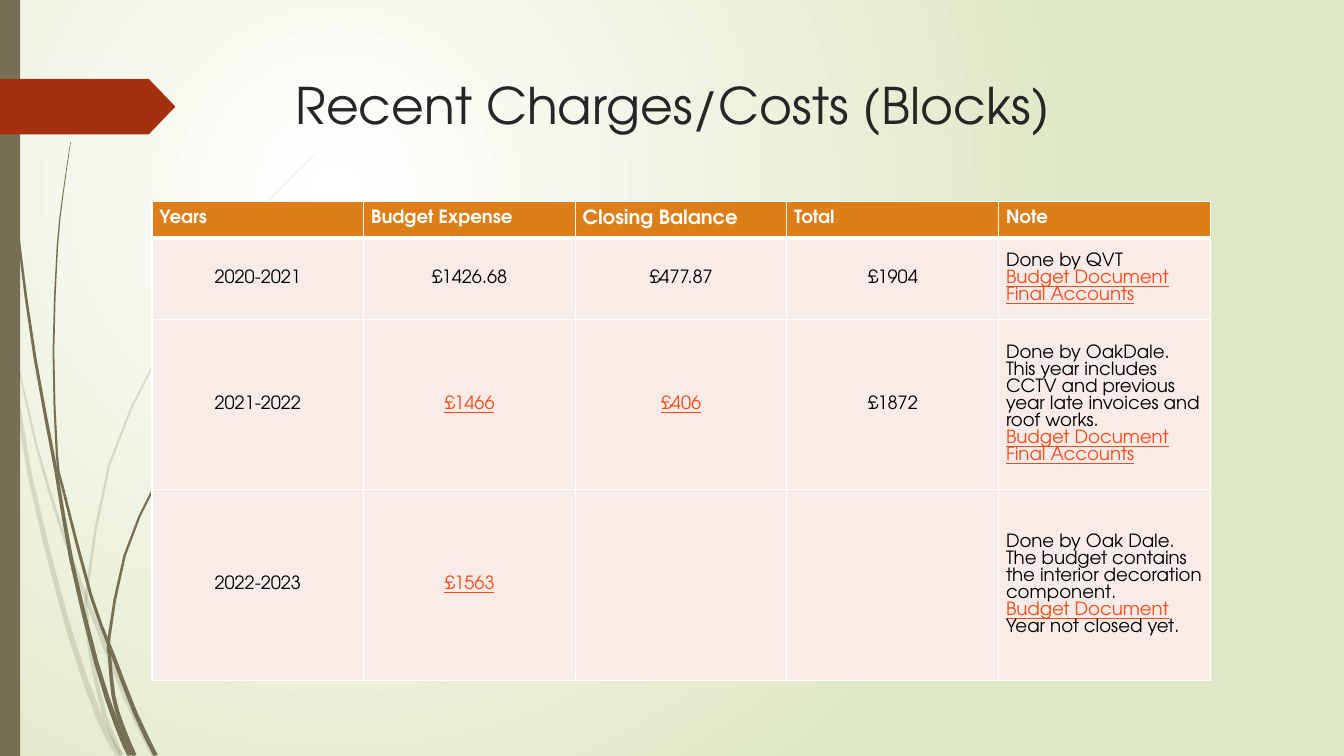
from dataclasses import dataclass
from math import hypot

from lxml.etree import SubElement
from pptx import Presentation
from pptx.dml.color import RGBColor
from pptx.enum.shapes import MSO_SHAPE as Preset
from pptx.enum.text import MSO_ANCHOR as Anchor, MSO_AUTO_SIZE as AutoSize, PP_ALIGN as Align
from pptx.oxml.ns import qn
from pptx.util import Pt

FONT = "TeX Gyre Adventor"
WHITE, BLACK, DARK = "FFFFFF", "000000", "262626"
OLIVE, RED, GREEN = "766F54", "A53010", "DFE8C4"
ORANGE, PINK, LINK = "DE7E18", "F9ECE8", "FB4A18"
WIDTH, HEIGHT = 960, 540
CURVE_STEPS = 2

Point = tuple[float, float]


@dataclass
class Blade:
    """A blade of grass: centre line from tip to root, cut into pieces at the joints."""
    points: list[Point]
    joints: list[int]
    tip_width: float
    root_width: float
    opacity: int = 100


@dataclass
class Line:
    """One paragraph of a table cell."""
    text: str
    link: bool = False


def rgb(colour: str) -> RGBColor:
    return RGBColor.from_string(colour)


def paint(shape, colour: str, opacity: int = 100) -> None:
    shape.shadow.inherit = False
    shape.fill.solid()
    shape.fill.fore_color.rgb = rgb(colour)
    shape.line.fill.background()
    if opacity < 100:
        colour_element = shape._element.spPr.find(qn("a:solidFill"))[0]
        SubElement(colour_element, qn("a:alpha"), val=str(opacity * 1000))


def smooth_curve(points: list[Point]) -> list[Point]:
    """Catmull-Rom curve through all points."""
    padded = [points[0], *points, points[-1]]
    curve = []
    for before, start, end, after in zip(padded, padded[1:], padded[2:], padded[3:]):
        for step in range(CURVE_STEPS):
            t = step / CURVE_STEPS
            curve.append(tuple(
                b + t * ((c - a) + t * ((2 * a - 5 * b + 4 * c - d)
                                        + t * (3 * b - a - 3 * c + d))) / 2
                for a, b, c, d in zip(before, start, end, after)))
    return curve + [points[-1]]


def draw_blade(slide, blade: Blade) -> None:
    curve = smooth_curve(blade.points)
    last = len(curve) - 1
    left, right = [], []
    for index, (x, y) in enumerate(curve):
        (x0, y0), (x1, y1) = curve[max(index - 1, 0)], curve[min(index + 1, last)]
        growth = blade.root_width - blade.tip_width
        half = (blade.tip_width + growth * index / last) / 2 / hypot(x1 - x0, y1 - y0)
        dx, dy = (y1 - y0) * half, (x0 - x1) * half
        left.append((Pt(x + dx), Pt(min(y + dy, HEIGHT))))
        right.append((Pt(x - dx), Pt(min(y - dy, HEIGHT))))
    cuts = [0, *(joint * CURVE_STEPS for joint in blade.joints), last]
    for start, end in zip(cuts, cuts[1:]):
        outline = left[start:end + 1] + right[start:end + 1][::-1]
        builder = slide.shapes.build_freeform(*outline[0])
        builder.add_line_segments(outline[1:], close=True)
        paint(builder.convert_to_shape(), OLIVE, blade.opacity)


def draw_block(slide, preset, left: float, top: float, width: float, height: float,
               colour: str):
    shape = slide.shapes.add_shape(preset, Pt(left), Pt(top), Pt(width), Pt(height))
    paint(shape, colour)
    return shape


def set_borders(cell, top: float, bottom: float) -> None:
    properties = cell._tc.get_or_add_tcPr()
    widths = {"a:lnL": 1, "a:lnR": 1, "a:lnT": top, "a:lnB": bottom}
    for index, (tag, width) in enumerate(widths.items()):
        border = SubElement(properties, qn(tag), w=str(Pt(width)))
        SubElement(SubElement(border, qn("a:solidFill")), qn("a:srgbClr"), val=WHITE)
        properties.insert(index, border)


def fill_cell(cell, lines: list[Line], row: int, column: int) -> None:
    header = row == 0
    cell.fill.solid()
    cell.fill.fore_color.rgb = rgb(ORANGE if header else PINK)
    set_borders(cell, top=3 if row == 1 else 1, bottom=3 if header else 1)
    cell.vertical_anchor = Anchor.MIDDLE
    cell.margin_left = cell.margin_right = cell.margin_top = cell.margin_bottom = Pt(5.4)
    for index, line in enumerate(lines):
        frame = cell.text_frame
        paragraph = frame.paragraphs[0] if index == 0 else frame.add_paragraph()
        paragraph.text = line.text
        paragraph.line_spacing = 0.8 if header else Pt(12.15)
        paragraph.alignment = Align.LEFT if header or column == 4 else Align.CENTER
        font = paragraph.font
        font.name, font.bold, font.underline = FONT, header, line.link
        font.size = Pt(14 if line.text == "Closing Balance" else 13)
        font.color.rgb = rgb(WHITE if header else LINK if line.link else BLACK)
        for run in paragraph.runs:
            run.font.underline = line.link


BLADES = [
    Blade([(0, 209), (7.5, 250), (21, 338), (48, 446), (71.5, 514), (85.5, 540)],
          [1, 4], 2, 5, 20),
    Blade([(10.5, 249), (26, 318), (43, 375), (62, 428.5), (90, 498.5), (110, 540)],
          [3], 1, 4, 20),
    Blade([(224.5, 110.5), (193, 142), (164.5, 176), (114.5, 251), (78, 332), (62.3, 420.5),
           (62, 438.5), (64.3, 465), (75, 512), (87, 540)], [5, 6, 8], 0.2, 3.4, 20),
    Blade([(2.5, 0), (3.2, 34.6), (5.4, 79), (13, 168), (25, 255.6), (40.3, 338), (51, 400),
           (69, 474), (83.5, 518), (93, 540)], [5, 8], 0.5, 4),
    Blade([(50.4, 101.5), (45, 139), (41, 176), (38.2, 251), (40.7, 325), (45, 349),
           (65, 425.5), (78, 461), (81.5, 470), (96.5, 509), (111.2, 540)],
          [4, 5, 7, 8], 0.4, 3.4),
    Blade([(187, 247.7), (166.3, 269), (147, 292), (113, 342), (89, 397), (78, 455),
           (78.2, 468), (81, 497), (87, 518), (96, 540)], [5, 6, 8], 0.4, 3.4),
]

BUDGET, FINAL = Line("Budget Document", True), Line("Final Accounts", True)
ROWS = [
    [[Line(name)] for name in
     ("Years", "Budget Expense", "Closing Balance", "Total", "Note")],
    [[Line("2020-2021")], [Line("£1426.68")], [Line("£477.87")], [Line("£1904")],
     [Line("Done by QVT"), BUDGET, FINAL]],
    [[Line("2021-2022")], [Line("£1466", True)], [Line("£406", True)], [Line("£1872")],
     [Line("Done by OakDale. This year includes CCTV and previous year late invoices "
           "and roof works."), BUDGET, FINAL]],
    [[Line("2022-2023")], [Line("£1563", True)], [], [],
     [Line("Done by Oak Dale. The budget contains the interior decoration component."),
      BUDGET, Line("Year not closed yet.")]],
]
ROW_HEIGHTS = [26.3, 58.2, 121.3, 136.5]
COLUMN_WIDTH = 151.2

presentation = Presentation()
presentation.slide_width, presentation.slide_height = Pt(WIDTH), Pt(HEIGHT)
slide = presentation.slides.add_slide(presentation.slide_layouts[5])

# Background: radial gradient
background = slide.background.fill
background.gradient()
for stop, colour, position in zip(background.gradient_stops, (WHITE, GREEN), (0, 1)):
    stop.color.rgb, stop.position = rgb(colour), position
gradient = next(slide._element.iter(qn("a:gradFill")))
linear = gradient.find(qn("a:lin"))
radial = SubElement(gradient, qn("a:path"), path="circle")
SubElement(radial, qn("a:fillToRect"), l="50000", t="50000", r="100000", b="100000")
gradient.replace(linear, radial)

# Grass, side bar and red tag
for blade in BLADES:
    draw_blade(slide, blade)
draw_block(slide, Preset.RECTANGLE, 0, 0, 14.4, HEIGHT, OLIVE)
tag = draw_block(slide, Preset.PENTAGON, 0, 56.3, 125.3, 39.8, RED)
tag.adjustments[0] = 0.48

# Title
title = slide.shapes.title
title.left, title.top, title.width, title.height = Pt(204), Pt(49), Pt(702), Pt(101)
title.text_frame.text = "Recent Charges/Costs (Blocks)"
title.text_frame.auto_size = AutoSize.NONE
title.text_frame.vertical_anchor = Anchor.TOP
heading = title.text_frame.paragraphs[0]
heading.alignment = Align.LEFT
heading.font.name, heading.font.size = FONT, Pt(36)
heading.font.color.rgb = rgb(DARK)

# Table of charges
table = slide.shapes.add_table(len(ROWS), len(ROWS[0]), Pt(108.5), Pt(143.8),
                               Pt(COLUMN_WIDTH * 5), Pt(sum(ROW_HEIGHTS))).table
for column in table.columns:
    column.width = Pt(COLUMN_WIDTH)
for row, (cells, height) in enumerate(zip(ROWS, ROW_HEIGHTS)):
    table.rows[row].height = Pt(height)
    for column, lines in enumerate(cells):
        fill_cell(table.cell(row, column), lines, row, column)

presentation.save("out.pptx")
